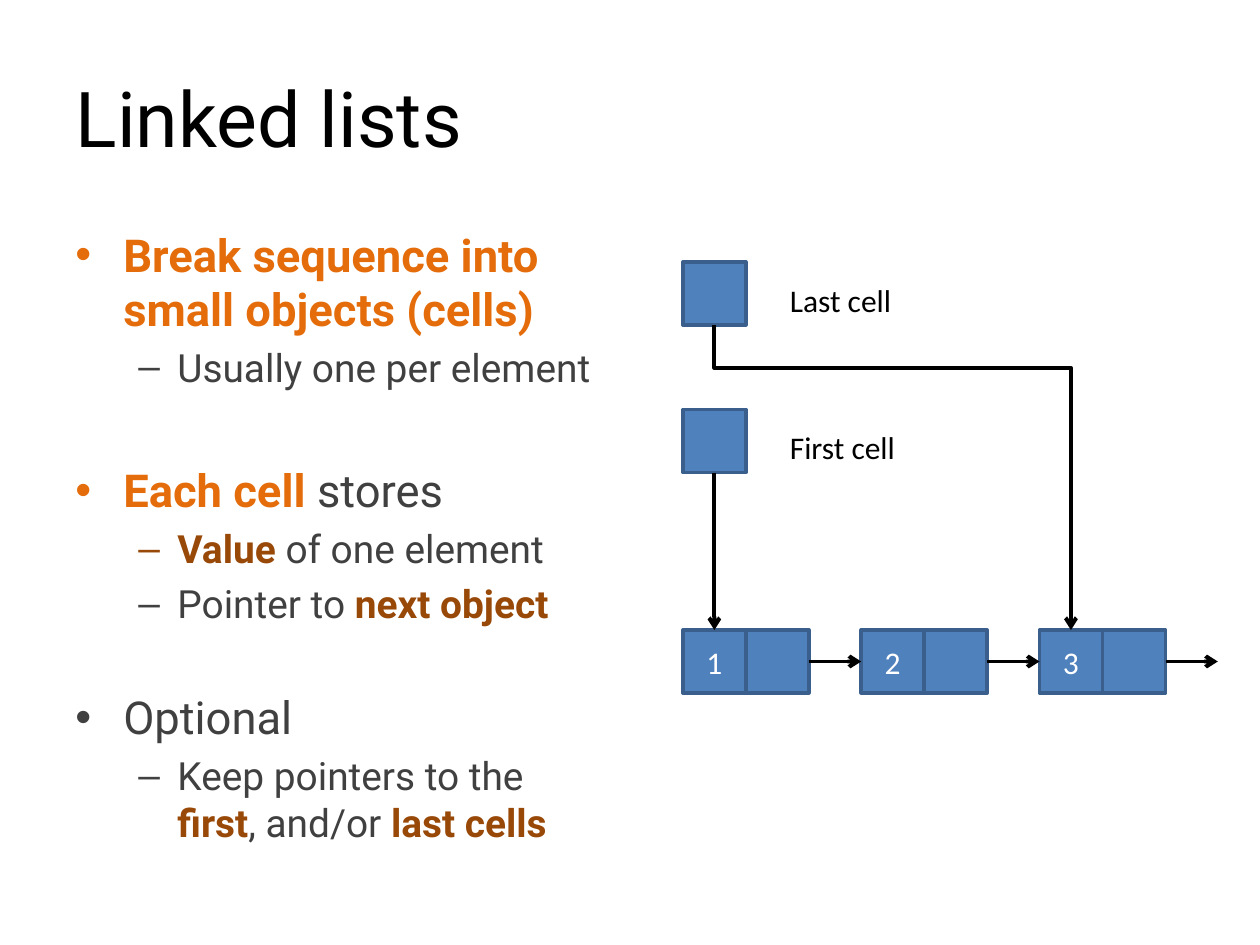
from dataclasses import dataclass

from lxml import etree
from pptx import Presentation, util as u
from pptx.dml.color import RGBColor
from pptx.enum import shapes, text
from pptx.oxml import ns

Inches, Pt = u.Inches, u.Pt


@dataclass(frozen=True)
class Theme:
    """Colours, fonts and type sizes of the slide."""
    heading_font: str = "Roboto"
    label_font: str = "Calibri"
    black: str = "000000"
    white: str = "FFFFFF"
    body: str = "404040"
    orange: str = "E46C0A"
    brown: str = "984807"
    cell: str = "4F81BD"
    edge: str = "3A5F8C"
    title_size: float = 44
    level_sizes: tuple = (25.9, 22.2)
    label_size: float = 18
    edge_width: float = 2
    arrow_width: float = 2.25


@dataclass(frozen=True)
class Box:
    """A region of the slide."""
    left: int
    top: int
    width: int
    height: int


THEME = Theme()
INDENTS = ((0.38, 0.38, "•"), (0.81, 0.31, "–"))
POINTS = (
    (0, 5.2, (("Break sequence into small objects (cells)", THEME.orange),)),
    (1, 4.4, (("Usually one per element", THEME.body),)),
    (0, 41.5, (("Each cell ", THEME.orange), ("stores", THEME.body))),
    (1, 4.4, (("Value ", THEME.brown), ("of one element", THEME.body))),
    (1, 5, (("Pointer to ", THEME.body), ("next object", THEME.brown))),
    (0, 36, (("Optional", THEME.body),)),
    (1, 4.4, (("Keep pointers to the ", THEME.body), ("first", THEME.brown),
              (", and/or ", THEME.body), ("last cells", THEME.brown))),
)


def add_span(para, words, size, font, color, bold=False):
    """Add one formatted run to a paragraph."""
    span = para.add_run()
    span.text = words
    span.font.size = Pt(size)
    span.font.name = font
    span.font.bold = bold
    span.font.color.rgb = RGBColor.from_string(color)


def add_title(page, box, words):
    """Place and format the title placeholder."""
    title = page.shapes.title
    title.left, title.top, title.width, title.height = box.left, box.top, box.width, box.height
    frame = title.text_frame
    frame.auto_size = text.MSO_AUTO_SIZE.NONE
    frame.vertical_anchor = text.MSO_ANCHOR.MIDDLE
    para = frame.paragraphs[0]
    para.alignment = text.PP_ALIGN.LEFT
    add_span(para, words, THEME.title_size, THEME.heading_font, THEME.black)


def set_bullet(para, level):
    """Give a paragraph the hanging bullet of its level."""
    margin, hang, mark = INDENTS[level]
    para.level = level
    props = para._p.get_or_add_pPr()
    props.set("marL", str(Inches(margin)))
    props.set("indent", str(-Inches(hang)))
    etree.SubElement(props, ns.qn("a:buFont")).set("typeface", "Arial")
    etree.SubElement(props, ns.qn("a:buChar")).set("char", mark)


def add_points(page, box):
    """Write the two-level list of points."""
    frame = page.shapes.add_textbox(box.left, box.top, box.width, box.height).text_frame
    frame.word_wrap = True
    for index, (level, gap, spans) in enumerate(POINTS):
        para = frame.add_paragraph() if index else frame.paragraphs[0]
        para.space_before = Pt(gap)
        set_bullet(para, level)
        for words, color in spans:
            add_span(para, words, THEME.level_sizes[level], THEME.heading_font,
                     color, color != THEME.body)


def add_cell(page, left, top, side, words=""):
    """Draw one square cell, with its value if it has one."""
    cell = page.shapes.add_shape(shapes.MSO_SHAPE.RECTANGLE, left, top, side, side)
    cell.shadow.inherit = False
    cell.fill.solid()
    cell.fill.fore_color.rgb = RGBColor.from_string(THEME.cell)
    cell.line.color.rgb = RGBColor.from_string(THEME.edge)
    cell.line.width = Pt(THEME.edge_width)
    if words:
        cell.text_frame.vertical_anchor = text.MSO_ANCHOR.MIDDLE
        para = cell.text_frame.paragraphs[0]
        para.alignment = text.PP_ALIGN.CENTER
        add_span(para, words, THEME.label_size, THEME.label_font, THEME.white)
    return cell


def add_arrow(page, kind, start, end):
    """Draw a black connector with an open arrowhead at its end."""
    arrow = page.shapes.add_connector(kind, *start, *end)
    arrow.line.color.rgb = RGBColor.from_string(THEME.black)
    arrow.line.width = Pt(THEME.arrow_width)
    etree.SubElement(arrow.line._get_or_add_ln(), ns.qn("a:tailEnd")).set("type", "arrow")
    etree.SubElement(arrow._element.spPr, ns.qn("a:effectLst"))
    return arrow


def add_drop_elbow(page, start, end, bend):
    """Draw an elbow that leaves downward and turns at the given share of its drop."""
    across, drop = end[0] - start[0], end[1] - start[1]
    left = (start[0] + end[0] - drop) // 2
    top = (start[1] + end[1] - across) // 2
    elbow = add_arrow(page, shapes.MSO_CONNECTOR.ELBOW, (left, top), (left + drop, top + across))
    frame = elbow._element.spPr.find(ns.qn("a:xfrm"))
    frame.set("rot", str(270 * 60000))
    frame.set("flipH", "1")
    guides = elbow._element.spPr.find(ns.qn("a:prstGeom")).get_or_add_avLst()
    guide = etree.SubElement(guides, ns.qn("a:gd"))
    guide.set("name", "adj1")
    guide.set("fmla", f"val {round(bend * 100000)}")


def add_pointer(page, left, top, side, words, width):
    """Draw a pointer cell with its label to the right."""
    cell = add_cell(page, left, top, side)
    label = page.shapes.add_textbox(left + Inches(0.75), top + Inches(0.1), width, Inches(0.4))
    label.text_frame.word_wrap = False
    add_span(label.text_frame.paragraphs[0], words, THEME.label_size,
             THEME.label_font, THEME.black)
    return cell


def add_linked_list(page, box, values):
    """Draw the chain of cells and the pointers to its first and last cell."""
    side = Inches(0.5)
    straight = shapes.MSO_CONNECTOR.STRAIGHT
    pitch = (box.width - 2 * side) // (len(values) - 1)
    gap = pitch - 2 * side
    row = box.top + box.height - side
    nodes = []
    for index, value in enumerate(values):
        left = box.left + index * pitch
        nodes.append((add_cell(page, left, row, side, value),
                      add_cell(page, left + side, row, side)))
    for index, (_, link) in enumerate(nodes):
        begin = (link.left + side, row + side // 2)
        arrow = add_arrow(page, straight, begin, (begin[0] + gap, begin[1]))
        arrow.begin_connect(link, 3)
        if index + 1 < len(nodes):
            arrow.end_connect(nodes[index + 1][0], 1)

    first, last = nodes[0][0], nodes[-1][0]
    head = add_pointer(page, box.left, box.top + Inches(1.17), side, "First cell", Inches(1.05))
    middle = box.left + side // 2
    arrow = add_arrow(page, straight, (middle, head.top + side), (middle, row))
    arrow.begin_connect(head, 2)
    arrow.end_connect(first, 0)
    add_pointer(page, box.left, box.top, side, "Last cell", Inches(1.02))
    add_drop_elbow(page, (middle, box.top + side), (last.left + side // 2, row), 0.14)


def main():
    """Build the slide and save it."""
    deck = Presentation()
    deck.slide_width, deck.slide_height = Inches(10), Inches(7.5)
    page = deck.slides.add_slide(deck.slide_layouts[5])
    add_title(page, Box(Inches(0.5), Inches(0.3), Inches(9), Inches(1.25)), "Linked lists")
    add_points(page, Box(Inches(0.5), Inches(1.75), Inches(4.42), Inches(4.95)))
    add_linked_list(page, Box(Inches(5.42), Inches(2.08), Inches(3.83), Inches(3.42)),
                    ("1", "2", "3"))
    deck.save("out.pptx")


if __name__ == "__main__":
    main()
